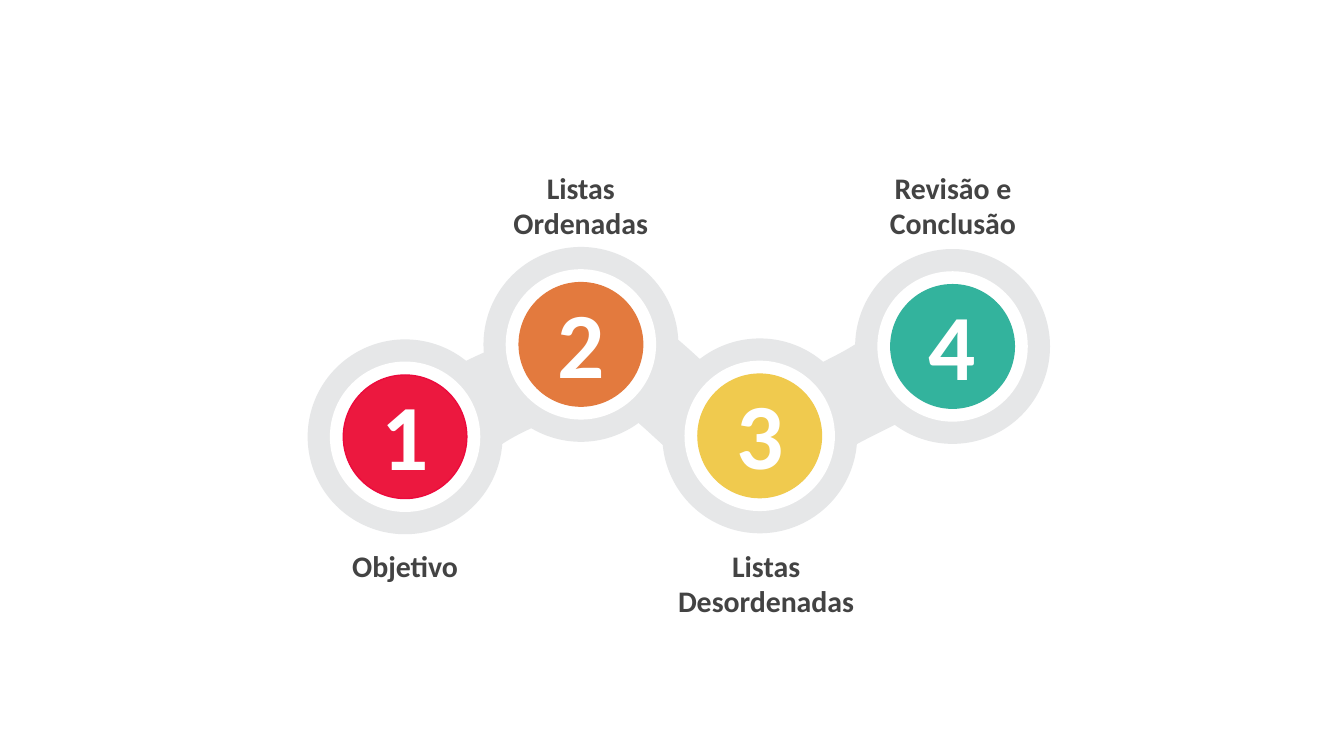
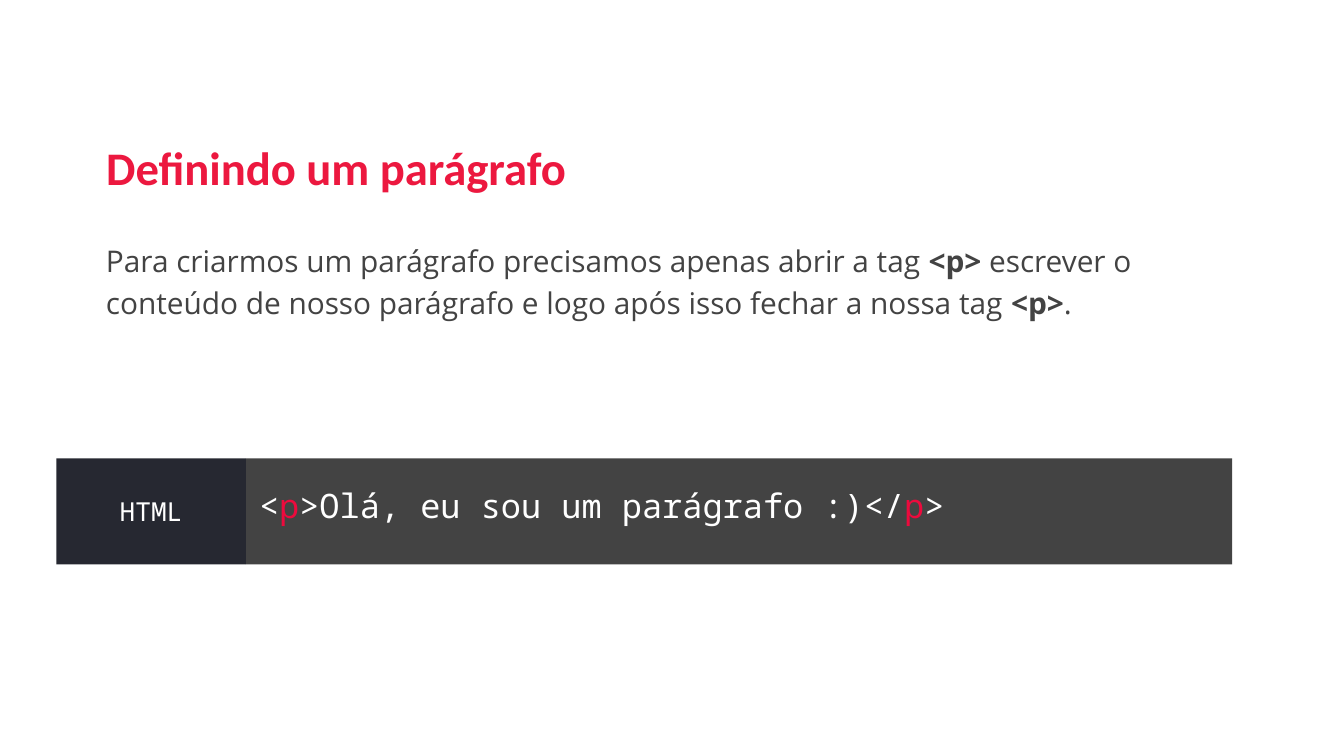
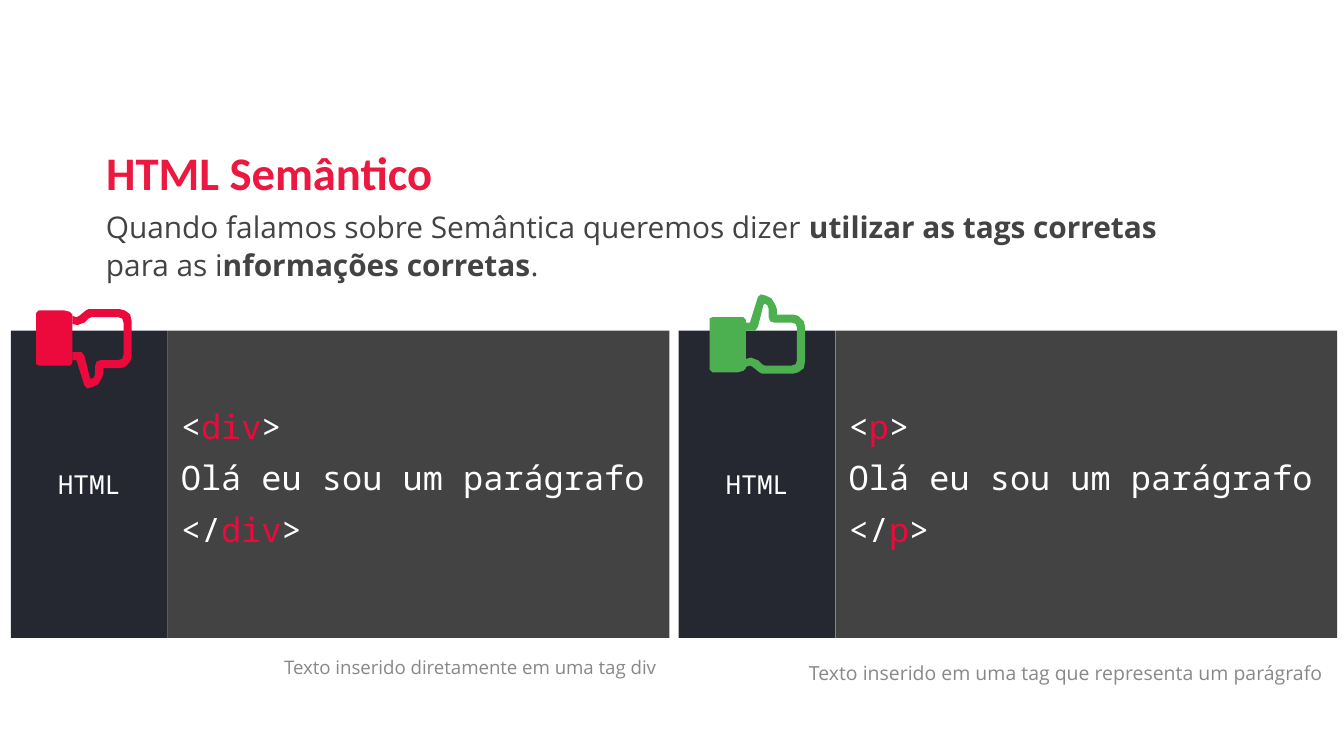
from pptx import Presentation
from pptx.dml.color import RGBColor
from pptx.enum.shapes import MSO_SHAPE
from pptx.enum.text import MSO_ANCHOR, MSO_AUTO_SIZE, PP_ALIGN
from pptx.util import Pt

OVAL, RECT, WAVE = MSO_SHAPE.OVAL, MSO_SHAPE.RECTANGLE, MSO_SHAPE.WAVE
LEFT, CENTER, RIGHT = PP_ALIGN.LEFT, PP_ALIGN.CENTER, PP_ALIGN.RIGHT
TOP, MIDDLE = MSO_ANCHOR.TOP, MSO_ANCHOR.MIDDLE
NO_FIT = MSO_AUTO_SIZE.NONE

WHITE = RGBColor(0xFF, 0xFF, 0xFF)
CHARCOAL = RGBColor(0x43, 0x43, 0x43)
NAVY = RGBColor(0x26, 0x28, 0x31)
GRAY = RGBColor(0x88, 0x88, 0x88)
SILVER = RGBColor(0xE6, 0xE7, 0xE8)
CRIMSON = RGBColor(0xEC, 0x18, 0x3F)
RED = RGBColor(0xEC, 0x0A, 0x3D)
ORANGE = RGBColor(0xE3, 0x7A, 0x3E)
YELLOW = RGBColor(0xF0, 0xCA, 0x4E)
TEAL = RGBColor(0x33, 0xB3, 0x9D)
GREEN = RGBColor(0x4C, 0xAF, 0x50)

TITLE = {"name": "Calibri", "size": Pt(25), "bold": True, "color": CRIMSON}
STEP_LABEL = {"name": "Calibri", "size": Pt(16), "bold": True, "color": CHARCOAL}
STEP_NUMBER = {"name": "Calibri", "size": Pt(50), "bold": True, "color": WHITE}
BODY = {"name": "Open Sans", "size": Pt(16), "bold": False, "color": CHARCOAL}
CAPTION = {"name": "Open Sans", "size": Pt(10), "bold": False, "color": GRAY}
CODE = {"name": "Noto Sans Mono", "size": Pt(18), "color": WHITE}
LANGUAGE = {"name": "Noto Sans Mono", "size": Pt(14), "color": WHITE}
STRONG = {"bold": True}
TAG = {"color": RED}

STEPS = [
    ("Objetivo", (217, 234), CRIMSON, RED, (156.2, 286, 121.7)),
    ("Listas Ordenadas", (311.2, 184.5), ORANGE, ORANGE, (257.8, 83.5, 106.6)),
    ("Listas Desordenadas", (407, 233.5), YELLOW, YELLOW, (351.4, 286, 118)),
    ("Revisão e Conclusão", (510.3, 185.6), TEAL, TEAL, (457.2, 83.5, 106.6)),
]
LINKS = [((455.4, 213.1), 315), ((362.5, 213.1), 24), ((277.6, 206.6), 317.5)]
LINK_SIZE = (124.6, 64.8)
RING, RIM, DISC = 104.4, 80.6, 66.2

PARAGRAPH_TITLE = "Definindo um parágrafo"
PARAGRAPH_BODY = (
    "Para criarmos um parágrafo precisamos apenas abrir a tag ", "<p>",
    " escrever o conteúdo de nosso parágrafo e logo após isso fechar a nossa tag ",
    "<p>", ".",
)
PARAGRAPH_CODE = [("<", "p", ">Olá, eu sou um parágrafo :)</", "p", ">")]

SEMANTIC_TITLE = "HTML Semântico"
SEMANTIC_BODY = (
    "Quando falamos sobre Semântica queremos dizer ", "utilizar as tags corretas",
    " para as i", "nformações corretas", ".",
)
SEMANTIC_EXAMPLES = [
    {"tag": "div", "left": 5.8, "thumb": (19.4, 165.6), "thumb_up": False, "color": RED,
     "caption": "Texto inserido diretamente em uma tag div",
     "caption_left": 12.2, "caption_size": 10, "spacing": 0.95},
    {"tag": "p", "left": 363.6, "thumb": (380.2, 157.7), "thumb_up": True, "color": GREEN,
     "caption": "Texto inserido em uma tag que representa um parágrafo",
     "caption_left": 369.4, "caption_size": 10.4, "spacing": 1.15},
]

THUMB_UNIT, THUMB_HEIGHT = 0.72, 59
CUFF = [(2, 17), (0, 18), (0, 56), (2, 58), (21, 58), (25, 57), (27, 55), (27, 19), (25, 17)]
HAND = [
    (38, 0), (36, 2), (35, 5), (30, 21), (27, 21), (27, 27), (34, 27), (36, 24),
    (40, 8), (41, 7), (43, 8), (44, 11), (44, 17), (45, 20), (48, 21), (61, 21),
    (64, 22), (65, 25), (65, 49), (64, 52), (61, 53), (41, 53), (39, 52), (36, 49),
    (33, 48), (31, 47), (27, 48), (27, 54), (30, 53), (32, 54), (37, 58), (39, 59),
    (62, 59), (66, 58), (70, 55), (71, 50), (71, 24), (70, 20), (66, 16), (62, 15),
    (50, 15), (50, 11), (49, 8), (46, 3), (42, 1),
]


def set_values(target, values):
    for name, value in values.items():
        setattr(target, name, value)


def write(shape, lines, style, emphasis=None, frame=None, paragraph=None, gap=0):
    text_frame = shape.text_frame
    set_values(text_frame, {
        "word_wrap": True, "auto_size": NO_FIT, "vertical_anchor": TOP,
        "margin_left": Pt(7.2), "margin_right": Pt(7.2),
        "margin_top": Pt(7.2), "margin_bottom": Pt(7.2), **(frame or {}),
    })
    for row, parts in enumerate(lines):
        line = text_frame.add_paragraph() if row else text_frame.paragraphs[0]
        set_values(line, {"alignment": LEFT, **(paragraph or {})})
        if row:
            line.space_before = Pt(gap)
        for position, part in enumerate(parts):
            run = line.add_run()
            run.text = part
            values = {**style, **(emphasis if position % 2 else {})}
            run.font.color.rgb = values.pop("color")
            set_values(run.font, values)


def add_text(slide, box, lines, style, **options):
    write(slide.shapes.add_textbox(*map(Pt, box)), lines, style, **options)


def paint(shape, fill, line=None):
    shape.shadow.inherit = False
    shape.fill.solid()
    shape.fill.fore_color.rgb = fill
    if line is None:
        shape.line.fill.background()
    else:
        shape.line.color.rgb = line
        shape.line.width = Pt(0.75)


def add_filled(slide, kind, box, fill, line=None):
    shape = slide.shapes.add_shape(kind, *map(Pt, box))
    paint(shape, fill, line)
    return shape


def centered(center, width, height):
    return center[0] - width / 2, center[1] - height / 2, width, height


def add_title(slide, text, box, **options):
    title = slide.shapes.title
    set_values(title, dict(zip(("left", "top", "width", "height"), map(Pt, box))))
    write(title, [(text,)], TITLE, **options)


def add_code_panel(slide, left, top, height, language_width, code_width, lines):
    code = add_filled(slide, RECT, (left + language_width, top, code_width, height), CHARCOAL)
    write(code, lines, CODE, TAG, frame={"vertical_anchor": MIDDLE, "margin_top": 0}, gap=6)
    language = add_filled(slide, RECT, (left, top, language_width, height), NAVY)
    write(language, [("HTML",)], LANGUAGE,
          frame={"vertical_anchor": MIDDLE}, paragraph={"alignment": CENTER})


def add_thumb(slide, corner, up, color):
    for outline in (CUFF, HAND):
        points = [
            (Pt(corner[0] + x * THUMB_UNIT),
             Pt(corner[1] + (y if up else THUMB_HEIGHT - y) * THUMB_UNIT))
            for x, y in outline
        ]
        builder = slide.shapes.build_freeform(*points[0])
        builder.add_line_segments(points[1:], close=True)
        paint(builder.convert_to_shape(), color)


def build_steps(slide):
    middle = {"alignment": CENTER}
    for label, _, _, _, (left, top, width) in STEPS:
        add_text(slide, (left, top, width, 36), [(label,)], STEP_LABEL, paragraph=middle)
    for _, center, _, _, _ in reversed(STEPS):
        add_filled(slide, OVAL, centered(center, RING, RING), SILVER)
    for center, angle in LINKS:
        link = add_filled(slide, WAVE, centered(center, *LINK_SIZE), SILVER)
        link.rotation = angle
        link.adjustments[0] = 0.125
        link.adjustments[1] = -0.016
    for number, (_, center, fill, line, _) in enumerate(STEPS, 1):
        add_filled(slide, OVAL, centered(center, RIM, RIM), WHITE)
        add_filled(slide, OVAL, centered(center, DISC, DISC), fill, line)
        add_text(slide, (center[0] - 35.6, center[1] - 39, 71.2, 50),
                 [(str(number),)], STEP_NUMBER, paragraph=middle)


def build_paragraph(slide):
    add_title(slide, PARAGRAPH_TITLE, (49.7, 70.6, 572.4, 49.7),
              paragraph={"line_spacing": 0.9})
    add_code_panel(slide, 30.2, 245.5, 56.9, 101.5, 528.5, PARAGRAPH_CODE)
    add_text(slide, (49.7, 120.2, 610.6, 109.4), [PARAGRAPH_BODY], BODY, emphasis=STRONG,
             paragraph={"line_spacing": 1.15, "space_after": Pt(12)})


def build_semantic(slide):
    add_text(slide, (49.7, 103.7, 613.4, 54.7), [SEMANTIC_BODY], BODY, emphasis=STRONG,
             paragraph={"line_spacing": 1.05, "space_after": Pt(12)})
    add_title(slide, SEMANTIC_TITLE, (49.7, 69.1, 613.4, 45.4),
              frame={"vertical_anchor": MIDDLE})
    for example in SEMANTIC_EXAMPLES:
        tag = example["tag"]
        lines = [("<", tag, ">"), ("Olá eu sou um parágrafo",), ("</", tag, ">")]
        add_code_panel(slide, example["left"], 177.1, 164.6, 84, 268.8, lines)
        add_thumb(slide, example["thumb"], example["thumb_up"], example["color"])
        add_text(slide, (example["caption_left"], 344.9, 346.3, 33.1),
                 [(example["caption"],)], {**CAPTION, "size": Pt(example["caption_size"])},
                 paragraph={"alignment": RIGHT, "line_spacing": example["spacing"],
                            "space_after": Pt(12)})


def main():
    deck = Presentation()
    deck.slide_width, deck.slide_height = Pt(720), Pt(405)
    title_only, blank = deck.slide_layouts[5], deck.slide_layouts[6]
    build_steps(deck.slides.add_slide(blank))
    build_paragraph(deck.slides.add_slide(title_only))
    build_semantic(deck.slides.add_slide(title_only))
    deck.save("out.pptx")


if __name__ == "__main__":
    main()
